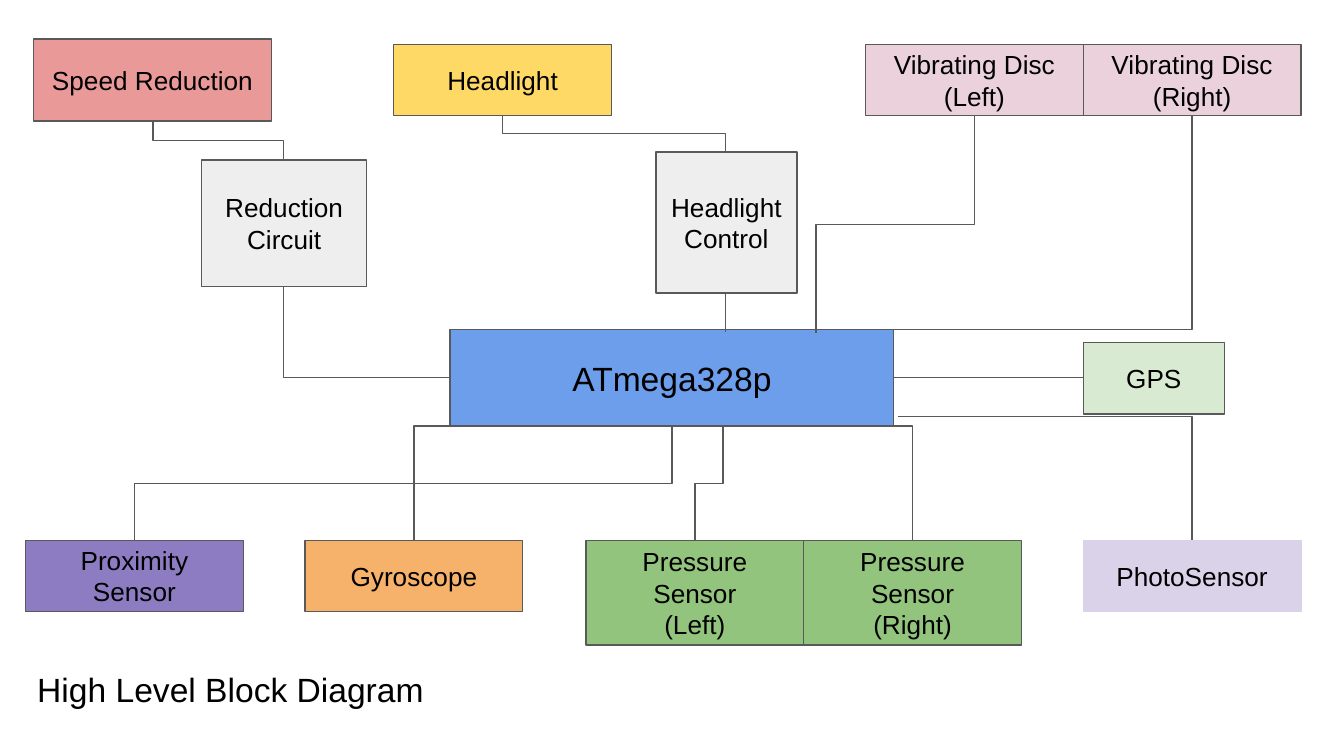
from lxml import etree
from pptx import Presentation
from pptx.dml.color import RGBColor
from pptx.enum.shapes import MSO_CONNECTOR, MSO_SHAPE
from pptx.enum.text import MSO_ANCHOR, MSO_AUTO_SIZE, PP_ALIGN
from pptx.oxml.ns import qn
from pptx.util import Inches, Pt

RECTANGLE = MSO_SHAPE.RECTANGLE
STRAIGHT, ELBOW = MSO_CONNECTOR.STRAIGHT, MSO_CONNECTOR.ELBOW
CENTER = PP_ALIGN.CENTER
TOP, MIDDLE = MSO_ANCHOR.TOP, MSO_ANCHOR.MIDDLE
NO_AUTOFIT = MSO_AUTO_SIZE.NONE
FONT, BLACK, GRAY = "Arial", "000000", "595959"
SLIDE_WIDTH = 10
WIDE, LOW = 1.62, 0.53
OUTPUT_TOP, SENSOR_TOP = 0.33, 4.02
RIGHT_COLUMN = 8.06


def color(value):
    """Turn a hex string into a colour."""
    return RGBColor.from_string(value)


def write(shape, lines, size, anchor):
    """Write centred lines, one paragraph each."""
    frame = shape.text_frame
    frame.word_wrap = True
    frame.auto_size = NO_AUTOFIT
    frame.vertical_anchor = anchor
    frame.margin_left = frame.margin_right = Inches(0.1)
    frame.margin_top = frame.margin_bottom = Inches(0.1)
    for index, line in enumerate(lines):
        paragraph = frame.paragraphs[0] if index == 0 else frame.add_paragraph()
        paragraph.alignment = CENTER
        run = paragraph.add_run()
        run.text = line
        run.font.name = FONT
        run.font.size = Pt(size)
        run.font.color.rgb = color(BLACK)


def add_block(shapes, box, fill, lines, size=14, outline=GRAY):
    """Add one labelled block in the given box."""
    block = shapes.add_shape(RECTANGLE, *map(Inches, box))
    block.shadow.inherit = False
    block.fill.solid()
    block.fill.fore_color.rgb = color(fill)
    block.line.color.rgb = color(outline)
    block.line.width = Pt(0.75)
    write(block, lines, size, MIDDLE)


def add_pair(shapes, box, fill, lines):
    """Add a left and a right block side by side, the first in the given box."""
    left, top, width, height = box
    for index, side in enumerate(("(Left)", "(Right)")):
        place = (left + index * width, top, width, height)
        add_block(shapes, place, fill, [*lines, side])


def add_wire(shapes, kind, start, end):
    """Add a plain connector between two points."""
    wire = shapes.add_connector(kind, *map(Inches, (*start, *end)))
    wire.line.color.rgb = color(GRAY)
    wire.line.width = Pt(0.75)
    etree.SubElement(wire._element.spPr, qn("a:effectLst"))
    return wire


def add_bent_wire(shapes, start, end, corners):
    """Add a wire that leaves vertically and turns one or two corners."""
    across, down = end[0] - start[0], end[1] - start[1]
    middle_x, middle_y = (start[0] + end[0]) / 2, (start[1] + end[1]) / 2
    turn = 90 if down > 0 else 270
    half_length = abs(down) / 2
    half_rise = across / 2 * (-1 if turn == 90 else 1)
    wire = add_wire(shapes, ELBOW,
                    (middle_x - half_length, middle_y - half_rise),
                    (middle_x + half_length, middle_y + half_rise))
    properties = wire._element.spPr
    properties.find(qn("a:xfrm")).set("rot", str(turn * 60000))
    properties.find(qn("a:prstGeom")).set("prst", f"bentConnector{corners + 1}")


def add_controller(shapes):
    """Add the controller and the blocks wired between it and the outputs."""
    add_block(shapes, (3.35, 2.45, 3.3, 0.72), "6D9EEB", ["ATmega328p"], size=18)
    add_block(shapes, (4.88, 1.13, 1.05, 1.05), "EEEEEE", ["Headlight", "Control"])
    add_block(shapes, (1.5, 1.19, 1.23, 0.94), "EEEEEE", ["Reduction Circuit"])
    add_block(shapes, (RIGHT_COLUMN, 2.55, 1.05, LOW), "D9EAD3", ["GPS"])


def add_outputs(shapes, top):
    """Add the row of output blocks."""
    add_block(shapes, (0.25, top - 0.04, 1.77, 0.61), "EA9999", ["Speed Reduction"])
    add_block(shapes, (2.93, top, WIDE, LOW), "FFD966", ["Headlight"])
    add_pair(shapes, (RIGHT_COLUMN - WIDE, top, WIDE, LOW), "EAD1DC", ["Vibrating Disc"])


def add_sensors(shapes, top):
    """Add the row of sensor blocks."""
    add_block(shapes, (0.19, top, WIDE, LOW), "8E7CC3", ["Proximity Sensor"])
    add_block(shapes, (2.27, top, WIDE, LOW), "F6B26B", ["Gyroscope"])
    pressure_group = shapes.add_group_shape()
    add_pair(pressure_group.shapes, (4.36, top, WIDE, 0.78), "93C47D", ["Pressure Sensor"])
    add_block(shapes, (RIGHT_COLUMN, top, WIDE, LOW), "D9D2E9", ["PhotoSensor"],
              outline="D9D2E9")


def add_wires(shapes):
    """Wire the blocks together."""
    bent_wires = [
        ((1.14, 0.9), (2.11, 1.19), 2),
        ((3.74, 0.86), (5.4, 1.13), 2),
        ((2.11, 2.13), (3.35, 2.81), 1),
        ((7.25, 0.86), (6.07, 2.48), 2),
        ((8.87, 0.86), (6.29, 2.45), 1),
        ((1, SENSOR_TOP), (5, 3.17), 2),
        ((3.08, SENSOR_TOP), (4.06, 3.17), 1),
        ((5.17, SENSOR_TOP), (5.38, 3.17), 2),
        ((6.79, SENSOR_TOP), (5.65, 3.17), 1),
        ((8.87, SENSOR_TOP), (6.68, 3.1), 1),
    ]
    for start, end, corners in bent_wires:
        add_bent_wire(shapes, start, end, corners)
    add_wire(shapes, STRAIGHT, (5.4, 2.18), (5.4, 2.47))
    add_wire(shapes, STRAIGHT, (RIGHT_COLUMN, 2.81), (6.65, 2.81))


def place_title(title, box):
    """Move the title into the given box and write it."""
    title.left, title.top, title.width, title.height = map(Inches, box)
    write(title, ["High Level Block Diagram"], 18, TOP)


def main():
    """Build the block diagram slide."""
    presentation = Presentation()
    presentation.slide_width = Inches(SLIDE_WIDTH)
    presentation.slide_height = Inches(SLIDE_WIDTH * 9 / 16)
    slide = presentation.slides.add_slide(presentation.slide_layouts[5])
    add_controller(slide.shapes)
    add_outputs(slide.shapes, OUTPUT_TOP)
    add_sensors(slide.shapes, SENSOR_TOP)
    add_wires(slide.shapes)
    place_title(slide.shapes.title, (0.14, 4.88, 3.15, 0.61))
    presentation.save("out.pptx")


main()
